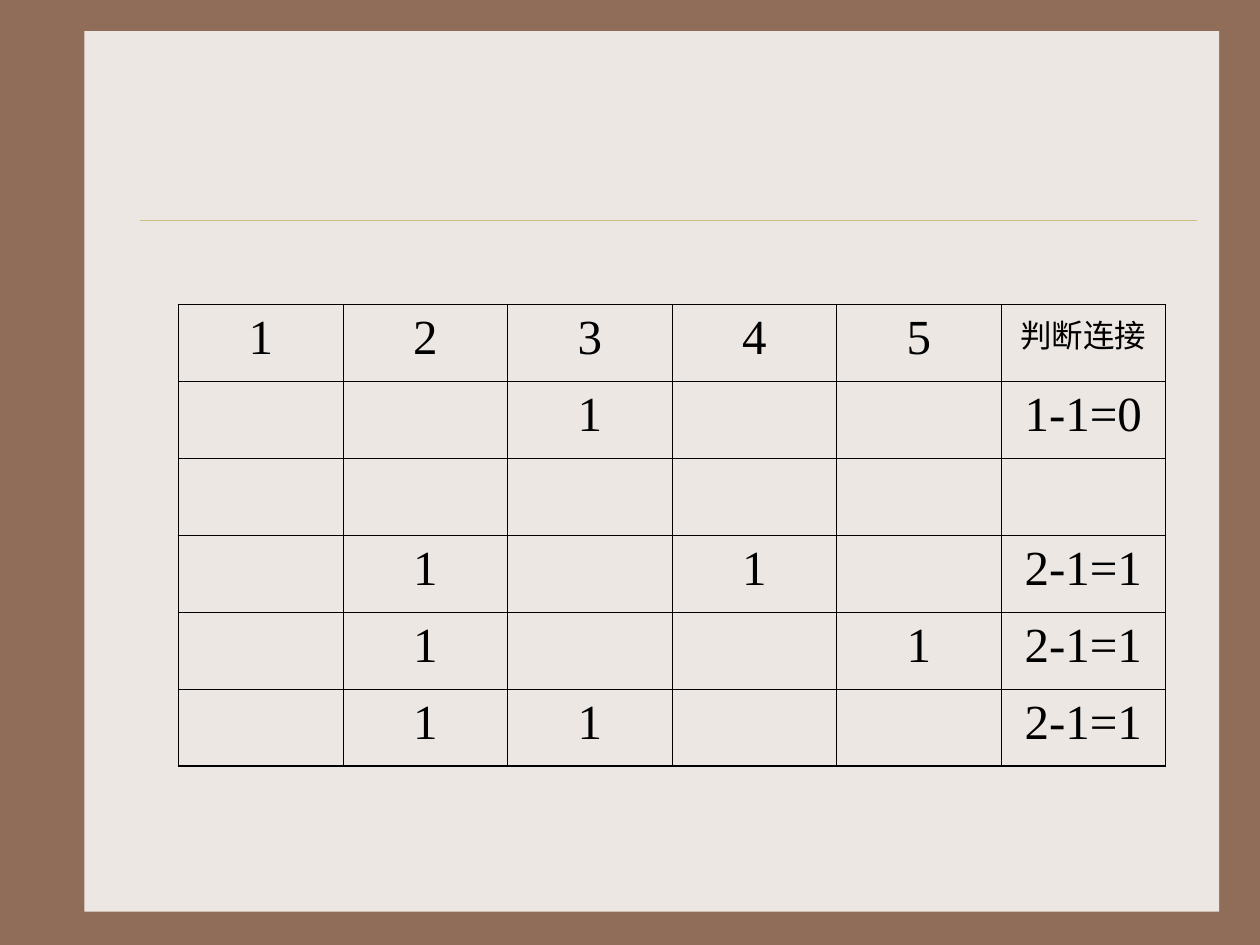
import pptx
import pptx.dml.color
import pptx.enum.shapes
import pptx.enum.text
import pptx.oxml.ns
import pptx.util
from lxml import etree
from pptx.util import Cm, Pt

THEME = {
    "back": "906D58", "panel": "EDE7E3", "rule": "CBBD83", "ink": "000000",
    "face": "Times New Roman", "big": Pt(28), "small": Pt(18),
    "thin": Pt(0.45), "thick": Pt(1.08), "hair": Pt(0.25),
}
ROWS = [
    ["1", "2", "3", "4", "5", "判断连接"],
    ["", "", "1", "", "", "1-1=0"],
    ["", "", "", "", "", ""],
    ["", "1", "", "1", "", "2-1=1"],
    ["", "1", "", "", "1", "2-1=1"],
    ["", "1", "1", "", "", "2-1=1"],
]


def tint(name):
    return pptx.dml.color.RGBColor.from_string(THEME[name])


def edge(cell, side, width):
    """Draw one border of a cell; side is L, R, T or B."""
    qn = pptx.oxml.ns.qn
    props = cell._tc.get_or_add_tcPr()
    line = etree.SubElement(props, qn(f"a:ln{side}"), w=str(width))
    fill = etree.SubElement(line, qn("a:solidFill"))
    etree.SubElement(fill, qn("a:srgbClr"), val=THEME["ink"])


deck = pptx.Presentation()
deck.slide_width, deck.slide_height = Cm(25.4), Cm(19.05)
slide = deck.slides.add_slide(deck.slide_layouts[6])
slide.background.fill.solid()
slide.background.fill.fore_color.rgb = tint("back")

panel = slide.shapes.add_shape(
    pptx.enum.shapes.MSO_SHAPE.RECTANGLE, Cm(1.7), Cm(0.63), Cm(22.88), Cm(17.75))
panel.shadow.inherit = False
panel.fill.solid()
panel.fill.fore_color.rgb = tint("panel")
panel.line.fill.background()

rule = slide.shapes.add_connector(
    pptx.enum.shapes.MSO_CONNECTOR.STRAIGHT, Cm(2.82), Cm(4.44), Cm(24.13), Cm(4.44))
rule.line.color.rgb = tint("rule")
rule.line.width = THEME["hair"]
etree.SubElement(rule._element.spPr, pptx.oxml.ns.qn("a:effectLst"))

count, last = len(ROWS), len(ROWS[0]) - 1
grid = slide.shapes.add_table(
    count, last + 1, Cm(3.6), Cm(6.14), Cm(19.9), Cm(9.31)).table
grid.first_row = grid.horz_banding = False

for r, row in enumerate(ROWS):
    for c, text in enumerate(row):
        cell = grid.cell(r, c)
        outer = {"L": c == 0, "R": c == last, "T": r == 0, "B": r == count - 1}
        for side, rim in outer.items():
            edge(cell, side, THEME["thick" if rim else "thin"])
        cell.fill.background()
        if not text:
            continue
        para = cell.text_frame.paragraphs[0]
        para.alignment = pptx.enum.text.PP_ALIGN.CENTER
        run = para.add_run()
        run.text = text
        head = r == 0 and c == last
        style = {"name": THEME["face"], "size": THEME["small" if head else "big"]}
        for key, value in style.items():
            setattr(run.font, key, value)
        run.font.color.rgb = tint("ink")

deck.save("out.pptx")
